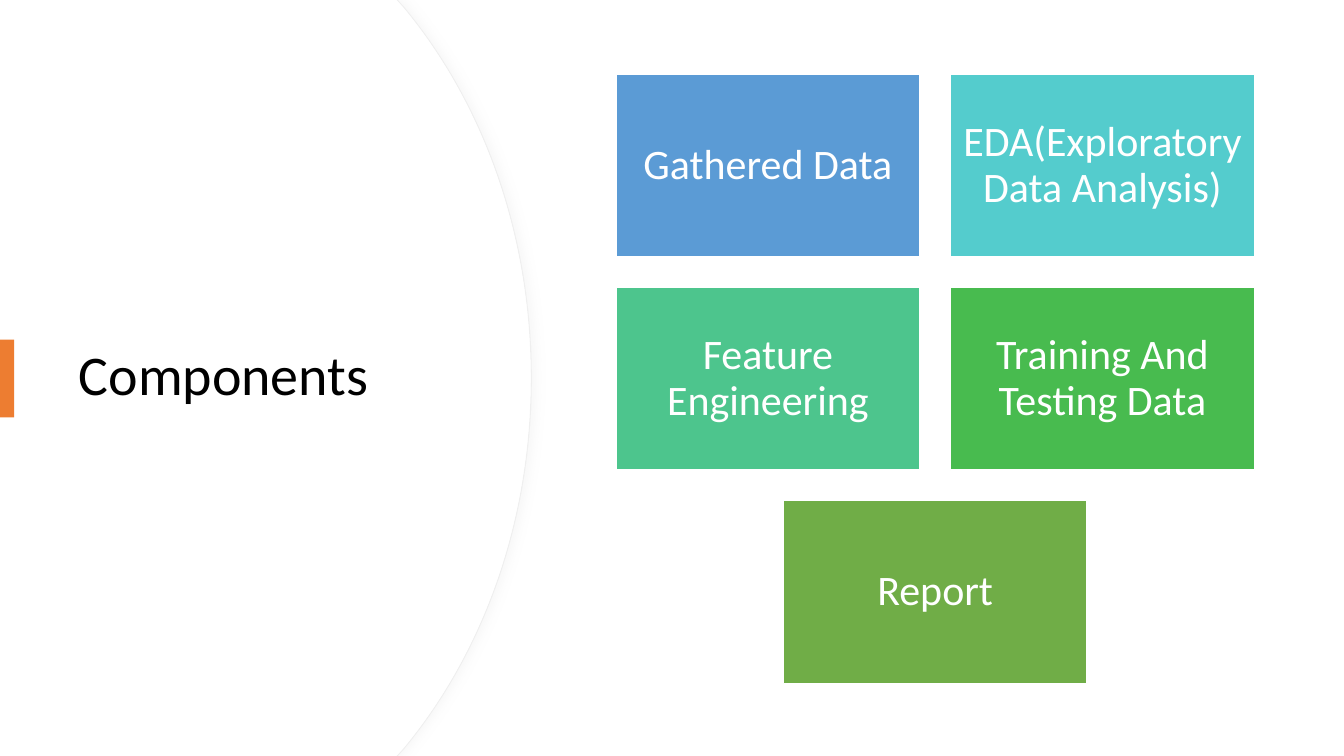
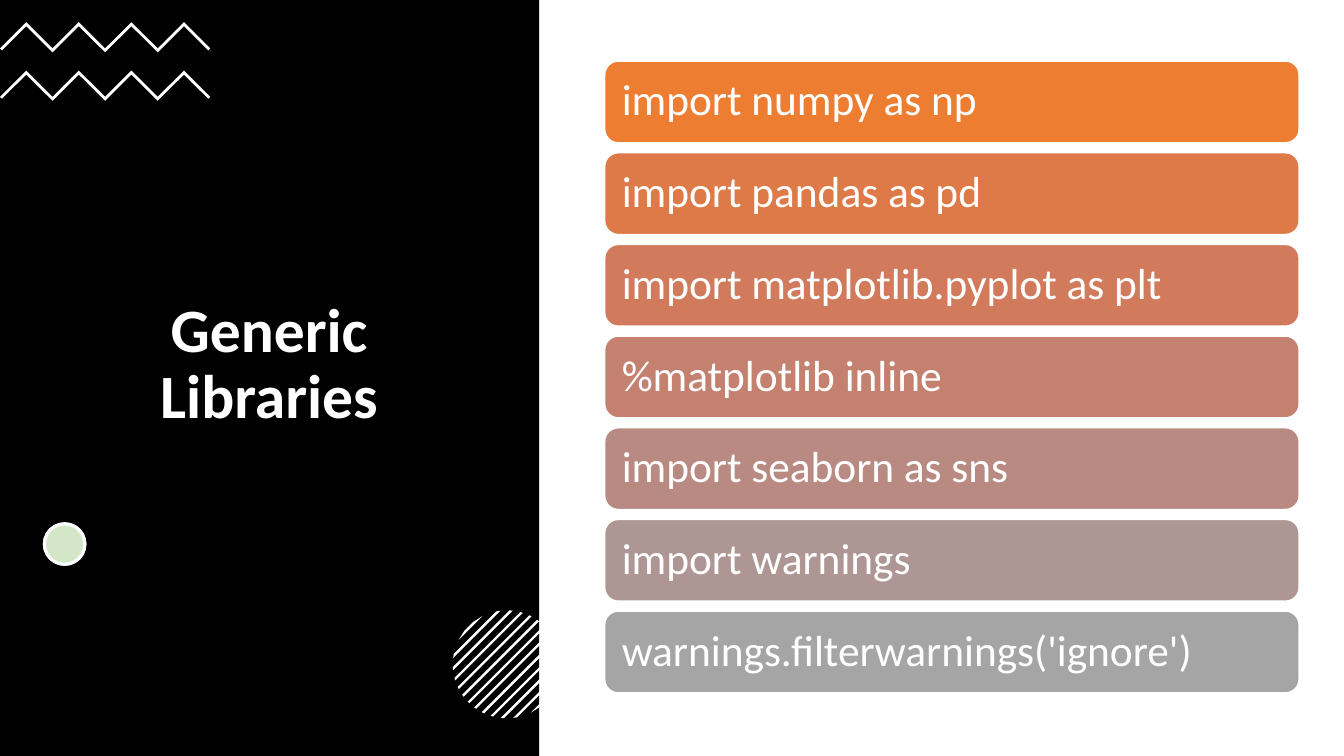
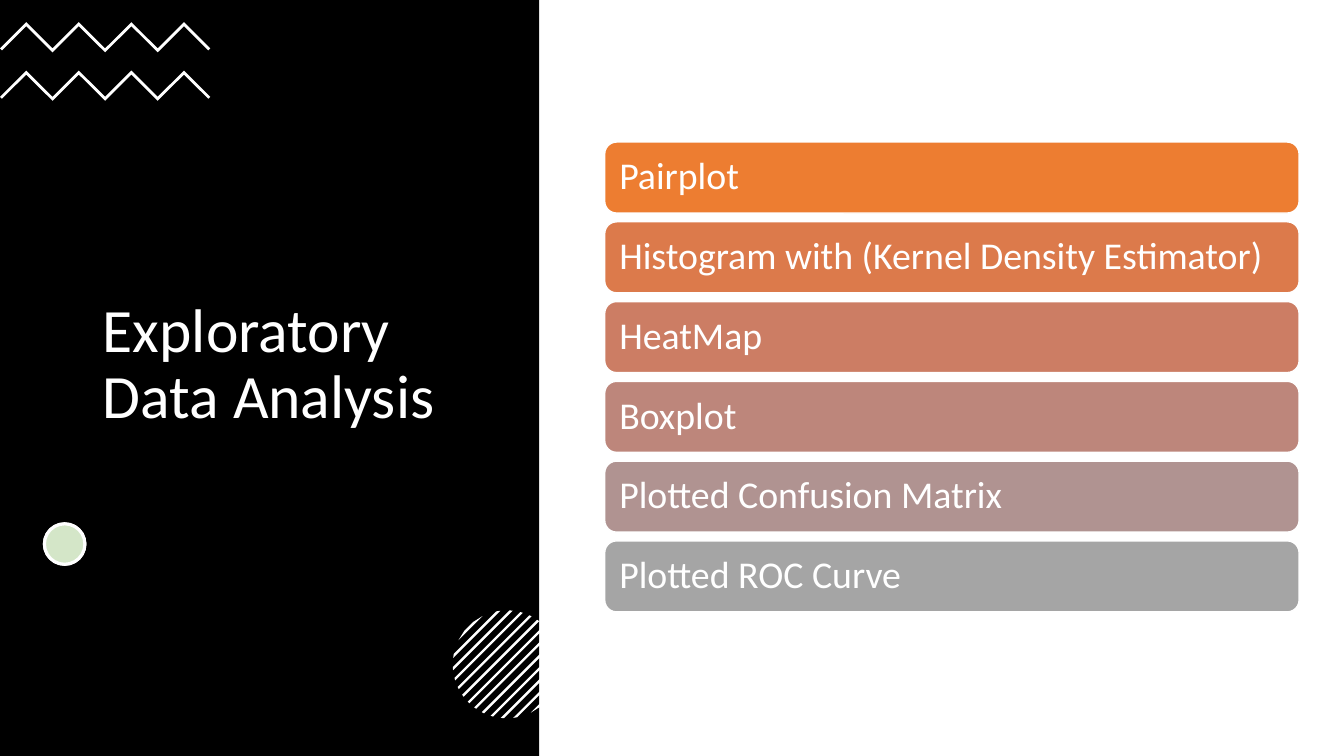
from dataclasses import dataclass
from math import sqrt

from lxml import etree
from pptx import Presentation
from pptx import util as u
from pptx.dml.color import RGBColor
from pptx.enum import shapes as es, text as et
from pptx.oxml import ns

FONT = "Calibri"
WHITE, BLACK, ORANGE, MINT = "FFFFFF", "000000", "ED7D31", "D4E6C8"
EDGE, SHADE = "EFEFEF", "D9D9D9"
WIDE, HIGH = 33.87, 19.05
LEFT, MID = et.PP_ALIGN.LEFT, et.PP_ALIGN.CENTER
RECT, ROUND, OVAL = (es.MSO_SHAPE.RECTANGLE, es.MSO_SHAPE.ROUNDED_RECTANGLE,
                     es.MSO_SHAPE.OVAL)
Point = tuple[float, float]


@dataclass
class Box:
    x: float
    y: float
    w: float
    h: float

    def emu(self) -> list[int]:
        return [u.Cm(v) for v in (self.x, self.y, self.w, self.h)]


@dataclass
class Type:
    size: float
    color: str = WHITE
    align: int = LEFT
    bold: bool = False


@dataclass
class Item:
    label: str
    fill: str


@dataclass
class Stack:
    """A column of bars, centred on the slide."""
    title: str
    head: Type
    size: float
    high: float
    gap: float
    pad: float
    items: list[Item]


TILES = [
    Item("Gathered Data", "5B9BD5"),
    Item("EDA(Exploratory Data Analysis)", "54CCCD"),
    Item("Feature Engineering", "4DC58D"),
    Item("Training And Testing Data", "48BB4F"),
    Item("Report", "70AD47"),
]
STACKS = [
    Stack("Generic Libraries", Type(44, align=MID, bold=True),
          31, 2.06, 0.25, 0.33, [
              Item("import numpy as np", ORANGE),
              Item("import pandas as pd", "DE7A47"),
              Item("import matplotlib.pyplot as plt", "D17B5C"),
              Item("%matplotlib inline", "C48170"),
              Item("import seaborn as sns", "B98A82"),
              Item("import warnings", "AE9694"),
              Item("warnings.filterwarnings('ignore')", "A5A5A5"),
          ]),
    Stack("Exploratory Data Analysis", Type(44), 27, 1.79, 0.22, 0.28, [
        Item("Pairplot", ORANGE),
        Item("Histogram with (Kernel Density Estimator)", "DC7A4B"),
        Item("HeatMap", "CC7D64"),
        Item("Boxplot", "BD867B"),
        Item("Plotted Confusion Matrix", "B09391"),
        Item("Plotted ROC Curve", "A5A5A5"),
    ]),
]


# Basic drawing
def rgb(code: str) -> RGBColor:
    return RGBColor.from_string(code)


def paint(shape, fill: str, line: str = "", width: float = 1) -> None:
    shape.shadow.inherit = False
    shape.fill.solid()
    shape.fill.fore_color.rgb = rgb(fill)
    if line:
        shape.line.color.rgb = rgb(line)
        shape.line.width = u.Pt(width)
    else:
        shape.line.fill.background()


def block(slide, kind, box: Box, fill: str, line: str = "", width: float = 1):
    shape = slide.shapes.add_shape(kind, *box.emu())
    paint(shape, fill, line, width)
    return shape


def outline(slide, points: list[Point], fill: str, line: str = ""):
    dots = [(u.Cm(x), u.Cm(y)) for x, y in points]
    pen = slide.shapes.build_freeform(*dots[0])
    pen.add_line_segments(dots[1:], close=True)
    shape = pen.convert_to_shape()
    paint(shape, fill, line, 0.75)
    return shape


def write(shape, words: str, style: Type) -> None:
    frame = shape.text_frame
    frame.word_wrap = True
    frame.auto_size = et.MSO_AUTO_SIZE.NONE
    frame.vertical_anchor = et.MSO_ANCHOR.MIDDLE
    para = frame.paragraphs[0]
    para.alignment = style.align
    para.line_spacing = 0.9
    run = para.add_run()
    run.text = words
    font = run.font
    font.name, font.size, font.bold = FONT, u.Pt(style.size), style.bold
    font.color.rgb = rgb(style.color)


def card(slide, kind, box: Box, item: Item, style: Type, pad: float) -> None:
    shape = block(slide, kind, box, item.fill, WHITE)
    frame = shape.text_frame
    frame.margin_left = frame.margin_right = u.Cm(pad)
    frame.margin_top = frame.margin_bottom = u.Cm(pad)
    write(shape, item.label, style)


def head(slide, words: str, box: Box, style: Type) -> None:
    title = slide.shapes.title
    title.left, title.top, title.width, title.height = box.emu()
    write(title, words, style)
    # Raise the title above the panel
    slide.shapes._spTree.append(title._element)


# Curved panel
def cast(shape) -> None:
    glow = shape._element.spPr.find(ns.qn("a:effectLst"))
    drop = etree.SubElement(glow, ns.qn("a:outerShdw"), blurRad=str(u.Pt(7)),
                            dist=str(u.Pt(3)), dir="0", algn="l",
                            rotWithShape="0")
    tint = etree.SubElement(drop, ns.qn("a:srgbClr"), val=SHADE)
    etree.SubElement(tint, ns.qn("a:alpha"), val="20000")


def bend(shape, first: int, count: int) -> None:
    """Turn each three line points from the first on into one curve."""
    legs = list(shape._element.iter(ns.qn("a:lnTo")))
    for n in range(first, first + 3 * count, 3):
        curve = etree.Element(ns.qn("a:cubicBezTo"))
        legs[n].addprevious(curve)
        for leg in legs[n:n + 3]:
            curve.append(leg[0])
            leg.getparent().remove(leg)


def bulge(slide, shift: float, line: str = ""):
    half = [(10.01, 0), (10.19, 0.2), (12.17, 2.59), (13.39, 5.89)]
    top = [(x - shift, y) for x, y in half]
    low = [(x, HIGH - y) for x, y in reversed(top)]
    knots = [(0, 0), *top, (13.39 - shift, HIGH / 2), *low, (0, HIGH)]
    shape = outline(slide, knots, WHITE, line)
    bend(shape, 2, 2)
    return shape


# Black panel
def zigzag(slide, top: float, rise: float = 0.66, thick: float = 0.1) -> None:
    step = 5.3 / 8
    upper = [(i * step, top + rise * (1 - i % 2)) for i in range(9)]
    lower = [(x, y + thick) for x, y in upper[1:-1]]
    half, end = thick / 2, top + rise + thick / 2
    tips = (half, end), (8 * step - half, end)
    outline(slide, [*upper, tips[1], *reversed(lower), tips[0]], WHITE)


def hatch(slide, cx: float, cy: float, r: float) -> None:
    def spot(off: float, along: float) -> Point:
        return cx + (off + along) / sqrt(2), cy + (off - along) / sqrt(2)

    for i in range(-6, 7):
        ends = []
        for off in (i * 0.22 - 0.03, i * 0.22 + 0.03):
            reach = sqrt(r * r - off * off)
            ends.append((spot(off, -reach), spot(off, reach)))
        (a, b), (d, c) = ends
        outline(slide, [a, b, c, d], WHITE)


def panel(slide, words: str, style: Type) -> None:
    block(slide, RECT, Box(0, 0, 13.59, HIGH), BLACK)
    head(slide, words, Box(2.34, 3.33, 8.89, 11.76), style)
    for top in (0.56, 1.78):
        zigzag(slide, top)
    for fill in (WHITE, MINT):
        block(slide, OVAL, Box(1.12, 13.2, 1.02, 1.02), fill, WHITE, 2.25)
    hatch(slide, 12.77, 16.74, 1.36)


# Slides
def parts(slide) -> None:
    cast(bulge(slide, 0, EDGE))
    bulge(slide, 0.02)
    head(slide, "Components", Box(1.73, 3.23, 10.01, 12.57), Type(40, BLACK))
    block(slide, RECT, Box(0, 8.56, 0.36, 1.96), ORANGE)
    # Rows of two tiles, each row centred
    wide, high, gap, mid = 7.66, 4.6, 0.77, 23.57
    for n in range(0, len(TILES), 2):
        row = TILES[n:n + 2]
        left = mid - (len(row) * (wide + gap) - gap) / 2
        top = 1.88 + n // 2 * (high + gap)
        for i, item in enumerate(row):
            box = Box(left + i * (wide + gap), top, wide, high)
            card(slide, RECT, box, item, Type(30, align=MID), 0.28)


def bars(slide, stack: Stack) -> None:
    panel(slide, stack.title, stack.head)
    pitch = stack.high + stack.gap
    top = 9.5 - (len(stack.items) * pitch - stack.gap) / 2
    for i, item in enumerate(stack.items):
        box = Box(15.24, top + i * pitch, 17.5, stack.high)
        card(slide, ROUND, box, item, Type(stack.size), stack.pad)


def main() -> None:
    deck = Presentation()
    deck.slide_width, deck.slide_height = u.Cm(WIDE), u.Cm(HIGH)
    plain = deck.slide_layouts.get_by_name("Title Only")
    parts(deck.slides.add_slide(plain))
    for stack in STACKS:
        bars(deck.slides.add_slide(plain), stack)
    deck.save("out.pptx")


if __name__ == "__main__":
    main()
